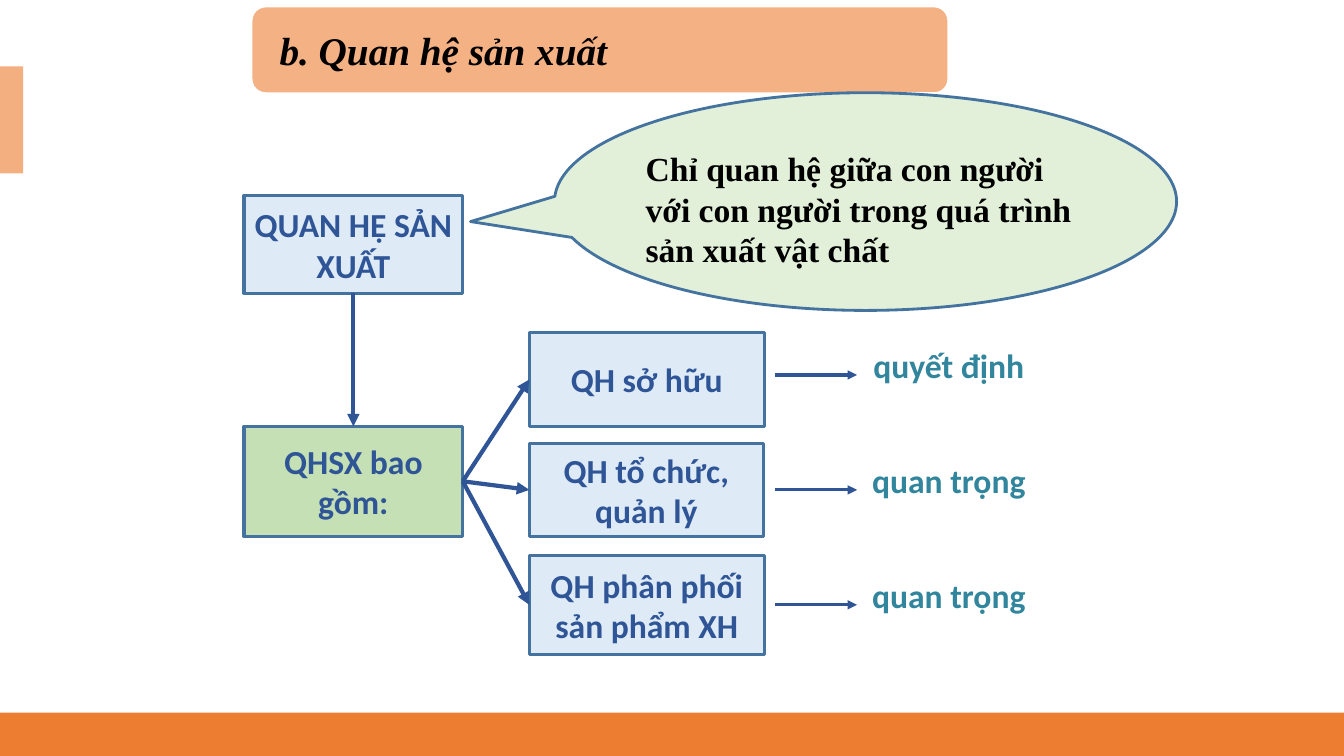
from lxml import etree
from pptx import Presentation
from pptx.dml.color import RGBColor
from pptx.enum import shapes, text
from pptx.oxml import ns
from pptx.util import Inches, Pt

WHITE = RGBColor(0xFF, 0xFF, 0xFF)
BLACK = RGBColor(0, 0, 0)
ORANGE = RGBColor(0xED, 0x7D, 0x31)
TAB_PEACH = RGBColor(0xF4, 0xAF, 0x80)
TITLE_PEACH = RGBColor(0xF4, 0xB1, 0x83)
PALE_BLUE = RGBColor(0xDE, 0xEB, 0xF7)
GREEN = RGBColor(0xC5, 0xE0, 0xB4)
PALE_GREEN = RGBColor(0xE2, 0xF0, 0xD9)
OUTLINE = RGBColor(0x43, 0x73, 0x9E)
NAVY = RGBColor(0x2F, 0x55, 0x97)
TEAL = RGBColor(0x31, 0x85, 0x9C)

SHAPE = shapes.MSO_SHAPE
ALIGN = text.PP_ALIGN
TOP, LEFT, BOTTOM, RIGHT = range(4)


def add_block(slide, kind, box, fill, line=None, weight=2.25):
    block = slide.shapes.add_shape(kind, *map(Inches, box))
    block.shadow.inherit = False
    block.fill.solid()
    block.fill.fore_color.rgb = fill
    if line is None:
        block.line.fill.background()
    else:
        block.line.color.rgb = line
        block.line.width = Pt(weight)
    return block


def write(shape, words, color, font="Calibri", size=24, align=ALIGN.CENTER,
          italic=False, insets=None):
    frame = shape.text_frame
    frame.word_wrap = True
    if insets:
        (frame.margin_left, frame.margin_top,
         frame.margin_right, frame.margin_bottom) = map(Inches, insets)
    frame.text = words
    para = frame.paragraphs[0]
    para.alignment = align
    span = para.runs[0].font
    span.name, span.size, span.bold, span.italic = font, Pt(size), True, italic
    span.color.rgb = color
    return para


def add_arrow(slide, start=(0, 0), end=(0, 0), weight=3.0):
    arrow = slide.shapes.add_connector(
        shapes.MSO_CONNECTOR.STRAIGHT, *map(Inches, (*start, *end)))
    arrow.line.color.rgb = NAVY
    arrow.line.width = Pt(weight)
    line = arrow.line._get_or_add_ln()
    etree.SubElement(line, ns.qn("a:tailEnd"), type="triangle")
    etree.SubElement(arrow._element.spPr, ns.qn("a:effectLst"))
    return arrow


def join(slide, source, source_side, target, target_side):
    arrow = add_arrow(slide)
    arrow.begin_connect(source, source_side)
    arrow.end_connect(target, target_side)


def add_node(slide, box, words, fill=PALE_BLUE):
    node = add_block(slide, SHAPE.RECTANGLE, box, fill, OUTLINE)
    write(node, words, NAVY)
    return node


def add_background(slide, width, height):
    add_block(slide, SHAPE.RECTANGLE, (0, height - 0.43, width, 0.43), ORANGE)
    add_block(slide, SHAPE.RECTANGLE, (0, 0.66, 0.23, 1.06), TAB_PEACH)


def add_title(slide, left, top, width, height):
    banner = add_block(slide, SHAPE.ROUNDED_RECTANGLE,
                       (left, top, width, height), TITLE_PEACH, WHITE, 2)
    write(banner, "b. Quan hệ sản xuất", BLACK, "Times New Roman", 28,
          ALIGN.LEFT, True, (0.24, 0, 0.24, 0))


def add_definition(slide, left, top, width, height):
    bubble = add_block(slide, SHAPE.OVAL_CALLOUT, (left, top, width, height),
                       PALE_GREEN, OUTLINE, 2)
    bubble.adjustments[0] = -0.635
    bubble.adjustments[1] = 0.092
    write(bubble, "Chỉ quan hệ giữa con người với con người trong quá trình "
          "sản xuất vật chất", BLACK, "Times New Roman", 24, ALIGN.LEFT,
          insets=(0, 0.14, 0, 0))


def add_role(slide, left, middle, words):
    add_arrow(slide, (left, middle), (left + 0.81, middle), 2.25)
    label = slide.shapes.add_textbox(
        *map(Inches, (left + 0.81, middle - 0.3, 1.82, 0.49)))
    para = write(label, words, TEAL)
    para.line_spacing = 0.9
    para.space_before = Pt(10)


def add_diagram(slide, left, top):
    concept = add_node(slide, (left, top, 2.17, 0.97), "QUAN HỆ SẢN XUẤT")
    parts = add_node(slide, (left, top + 2.29, 2.17, 1.09),
                     "QHSX bao gồm:", GREEN)
    join(slide, concept, BOTTOM, parts, TOP)
    relations = [
        (1.36, 2.33, 0.93, "QH sở hữu", 1.78, "quyết định"),
        (2.46, 2.32, 0.92, "QH tổ chức, quản lý", 2.92, "quan trọng"),
        (3.57, 2.33, 0.98, "QH phân phối sản phẩm XH", 4.06, "quan trọng"),
    ]
    for offset, width, height, words, middle, role in relations:
        relation = add_node(
            slide, (left + 2.83, top + offset, width, height), words)
        join(slide, parts, RIGHT, relation, LEFT)
        add_role(slide, left + 5.27, top + middle, role)


def main():
    deck = Presentation()
    deck.slide_width, deck.slide_height = Inches(13.33), Inches(7.5)
    slide = deck.slides.add_slide(deck.slide_layouts[6])
    add_background(slide, 13.33, 7.5)
    add_diagram(slide, 2.42, 1.94)
    add_title(slide, 2.49, 0.06, 6.92, 0.87)
    add_definition(slide, 5.5, 0.92, 6.17, 2.16)
    deck.save("out.pptx")


if __name__ == "__main__":
    main()
